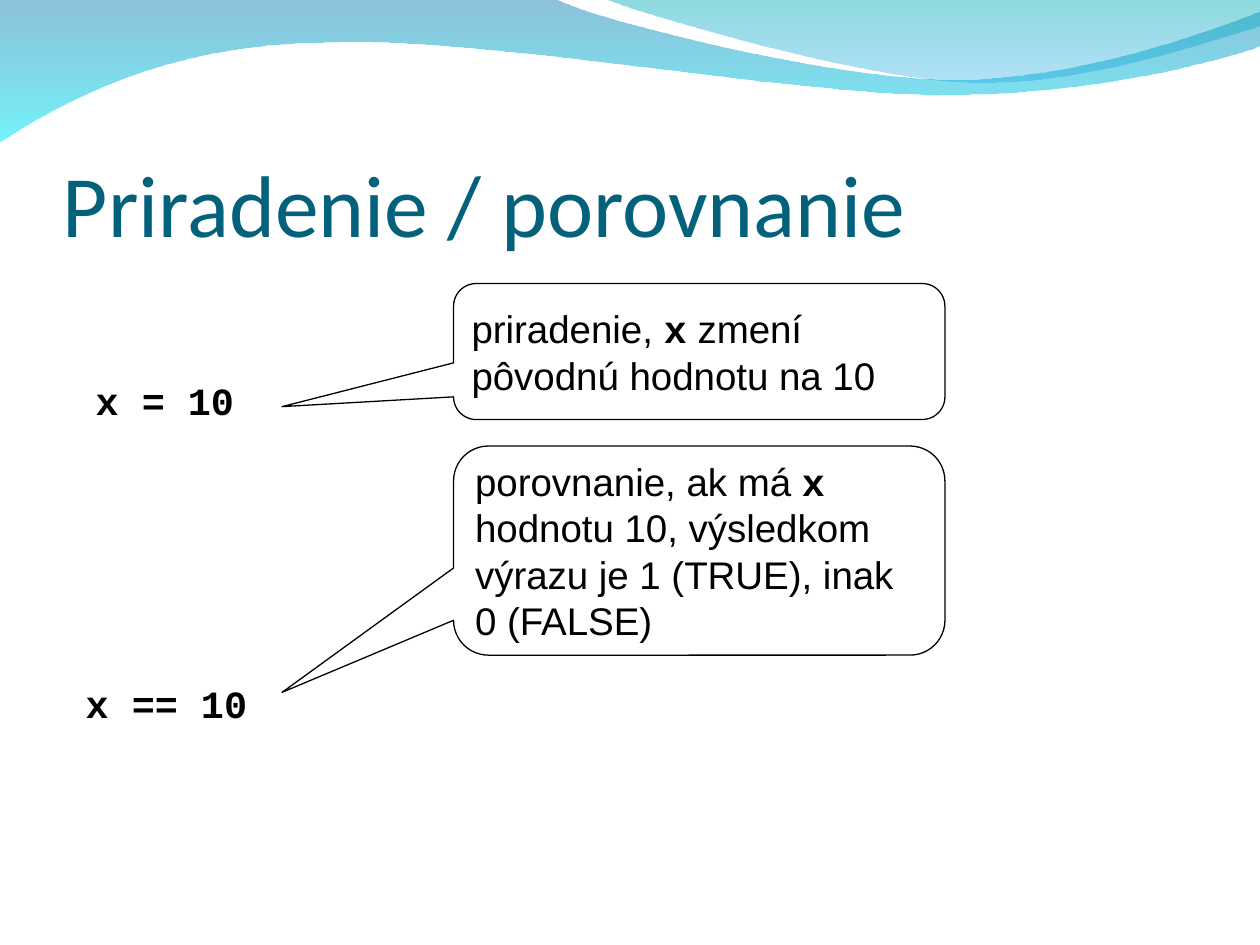
from lxml import etree
from pptx import Presentation
from pptx.dml.color import RGBColor
from pptx.enum import shapes, text
from pptx.oxml.ns import qn
from pptx.util import Inches, Pt

BLACK = RGBColor(0, 0, 0)
WHITE = RGBColor(255, 255, 255)
TITLE_BLUE = RGBColor(0x04, 0x61, 0x7B)
DEEP_BLUE = RGBColor(0x00, 0x79, 0xAF)
CYAN = RGBColor(0x00, 0xEB, 0xF8)
TEAL = RGBColor(0x00, 0xAD, 0xB6)
SKY_BLUE = RGBColor(0x00, 0x9B, 0xE5)


def add_run(paragraph, content, font_name, size, color, bold=False):
    run = paragraph.add_run()
    run.text = content
    run.font.name = font_name
    run.font.size = Pt(size)
    run.font.bold = bold
    run.font.color.rgb = color


def set_margins(text_frame):
    text_frame.margin_left = text_frame.margin_right = Inches(0.09)
    text_frame.margin_top = text_frame.margin_bottom = Inches(0.05)


presentation = Presentation()
presentation.slide_width = Inches(10)
presentation.slide_height = Inches(7.5)
slide = presentation.slides.add_slide(presentation.slide_layouts[6])

large_wave = [
    [(0, -0.01)],
    [(4.4, -0.01)],
    [(4.76, 0.17), (6.64, 0.63), (7.58, 0.63)],
    [(8.53, 0.63), (9.58, 0.26), (10, 0.09)],
    [(10.01, 0.36)],
    [(9.83, 0.44), (8.7, 0.76), (7.46, 0.75)],
    [(6.22, 0.75), (3.82, 0.28), (2.57, 0.34)],
    [(1.29, 0.35), (0.46, 0.83), (-0.01, 1.13)],
]
small_wave = [
    [(4.79, -0.01)],
    [(5.09, 0.11), (6.82, 0.62), (7.69, 0.65)],
    [(8.56, 0.69), (9.61, 0.32), (10, 0.21)],
    [(10, 0)],
]
waves = [
    (large_wave, [(DEEP_BLUE, 45), (CYAN, 55)]),
    (small_wave, [(TEAL, 45), (SKY_BLUE, 30)]),
]
for segments, colors in waves:
    vertices = [(Inches(x), Inches(y)) for segment in segments for x, y in segment]
    builder = slide.shapes.build_freeform(*vertices[0], scale=1.0)
    builder.add_line_segments(vertices[1:], close=True)
    wave = builder.convert_to_shape()
    lines = iter(list(wave.element.spPr.iter(qn("a:lnTo"))))
    for segment in segments[1:]:
        parts = [next(lines) for point in segment]
        if len(parts) == 3:
            curve = etree.Element(qn("a:cubicBezTo"))
            parts[0].addprevious(curve)
            for part in parts:
                curve.append(part[0])
                part.getparent().remove(part)
    wave.shadow.inherit = False
    wave.line.fill.background()
    wave.fill.gradient()
    wave.fill.gradient_angle = 270
    for stop, (color, opacity) in zip(wave.fill.gradient_stops, colors):
        stop.color.rgb = color
    color_elements = wave.element.spPr.iter(qn("a:srgbClr"))
    for element, (color, opacity) in zip(list(color_elements), colors):
        etree.SubElement(element, qn("a:alpha")).set("val", str(opacity * 1000))

title = slide.shapes.add_textbox(Inches(0.5), Inches(0.77), Inches(9), Inches(1.25))
title_frame = title.text_frame
title_frame.word_wrap = True
title_frame.vertical_anchor = text.MSO_ANCHOR.BOTTOM
title_frame.margin_left = title_frame.margin_right = title_frame.margin_bottom = 0
add_run(title_frame.paragraphs[0], "Priradenie / porovnanie", "Calibri", 50, TITLE_BLUE)

for content, left, top, width in [("x = 10", 0.67, 2.94, 1.3), ("x == 10", 0.59, 5.35, 1.48)]:
    code = slide.shapes.add_textbox(Inches(left), Inches(top), Inches(width), Inches(0.46))
    code.text_frame.word_wrap = False
    code.text_frame.auto_size = text.MSO_AUTO_SIZE.SHAPE_TO_FIT_TEXT
    set_margins(code.text_frame)
    add_run(code.text_frame.paragraphs[0], content, "Courier New", 22, BLACK, True)

callouts = [
    (2.25, 1.08, 0.405, "priradenie, ", " zmení pôvodnú hodnotu na 10"),
    (3.54, 1.66, 0.678, "porovnanie, ak má ",
     " hodnotu 10, výsledkom výrazu je 1 (TRUE), inak 0 (FALSE)"),
]
for top, height, pointer_y, before, after in callouts:
    callout = slide.shapes.add_shape(
        shapes.MSO_SHAPE.ROUNDED_RECTANGULAR_CALLOUT,
        Inches(3.6), Inches(top), Inches(3.9), Inches(height))
    callout.adjustments[0] = -0.849
    callout.adjustments[1] = pointer_y
    callout.adjustments[2] = 0.167
    callout.shadow.inherit = False
    callout.fill.solid()
    callout.fill.fore_color.rgb = WHITE
    callout.line.color.rgb = BLACK
    callout.line.width = Pt(0.75)
    callout.text_frame.word_wrap = True
    callout.text_frame.vertical_anchor = text.MSO_ANCHOR.MIDDLE
    set_margins(callout.text_frame)
    paragraph = callout.text_frame.paragraphs[0]
    paragraph.alignment = text.PP_ALIGN.LEFT
    add_run(paragraph, before, "Arial", 22, BLACK)
    add_run(paragraph, "x", "Courier New", 22, BLACK, True)
    add_run(paragraph, after, "Arial", 22, BLACK)

presentation.save("out.pptx")
